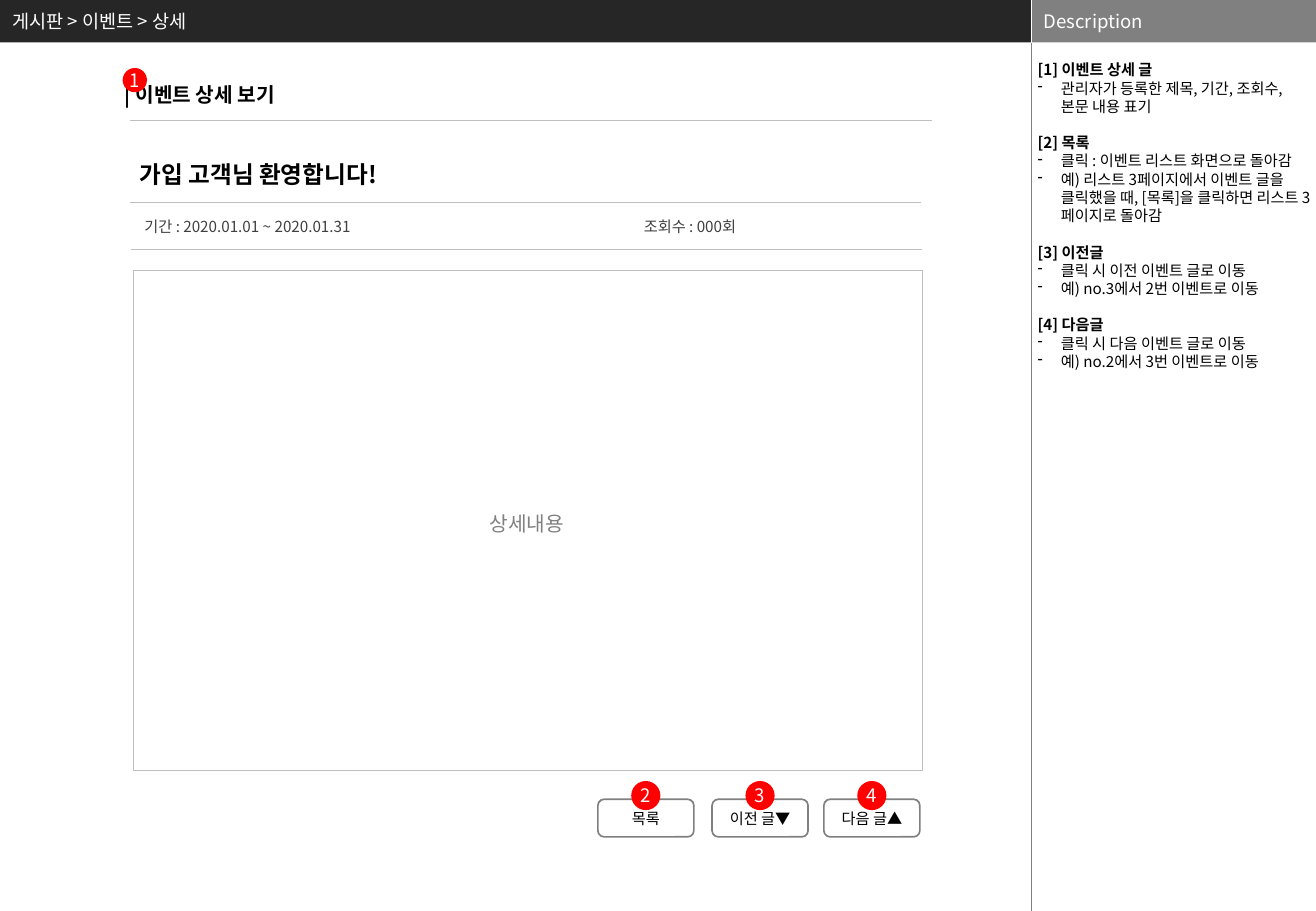
from dataclasses import dataclass

from lxml import etree
from pptx import Presentation
from pptx import util as u
from pptx.dml.color import RGBColor
from pptx.enum import shapes, text
from pptx.oxml.ns import qn


@dataclass(frozen=True)
class Theme:
    font: str = "Noto Sans CJK KR"
    black: str = "000000"
    white: str = "FFFFFF"
    dark: str = "262626"
    body: str = "404040"
    gray: str = "808080"
    rule: str = "BFBFBF"
    marker: str = "FF0000"
    small: float = 9
    normal: float = 11
    medium: float = 12
    large: float = 14
    leading: float = 1.2


THEME = Theme()
CELL = u.Inches(0.1)
COLUMNS, ROWS = 108.3, 75
MAIN_COLUMNS, HEADER_ROWS = 84.9, 3.5
MIDDLE = text.MSO_ANCHOR.MIDDLE
CENTER = text.PP_ALIGN.CENTER

DESCRIPTION = [
    ("[1] 이벤트 상세 글", ["관리자가 등록한 제목, 기간, 조회수, 본문 내용 표기"]),
    ("[2] 목록", [
        "클릭 : 이벤트 리스트 화면으로 돌아감",
        "예) 리스트 3페이지에서 이벤트 글을 클릭했을 때, [목록]을 클릭하면 리스트 3페이지로 돌아감",
    ]),
    ("[3] 이전글", ["클릭 시 이전 이벤트 글로 이동", "예) no.3에서 2번 이벤트로 이동"]),
    ("[4] 다음글", ["클릭 시 다음 이벤트 글로 이동", "예) no.2에서 3번 이벤트로 이동"]),
]
BUTTONS = [(49.2, "목록"), (58.6, "이전 글▼"), (67.8, "다음 글▲")]
RULES = [(10.7, 9.9, 66), (10.7, 16.7, 65.1), (10.8, 20.5, 65.1)]


def grid(*cells):
    return [round(cell * CELL) for cell in cells]


def rgb(value):
    return RGBColor.from_string(value)


def write(para, words, size, color, bold=False, align=text.PP_ALIGN.LEFT):
    para.text = words
    para.alignment = align
    para.line_spacing = u.Pt(size * THEME.leading)
    para.space_before = u.Pt(0)
    font = para.font
    font.name, font.size, font.bold = THEME.font, u.Pt(size), bold
    font.color.rgb = rgb(color)
    run_style = para._p.pPr.find(qn("a:defRPr"))
    etree.SubElement(run_style, qn("a:ea"), typeface=THEME.font)


def set_frame(box, anchor=text.MSO_ANCHOR.TOP, wrap=True, sides=0.1, ends=0.05):
    frame = box.text_frame
    frame.auto_size = text.MSO_AUTO_SIZE.NONE
    frame.word_wrap = wrap
    frame.vertical_anchor = anchor
    frame.margin_left = frame.margin_right = u.Inches(sides)
    frame.margin_top = frame.margin_bottom = u.Inches(ends)
    return frame.paragraphs[0]


def add_box(page, kind, cells, fill, line=None):
    box = page.shapes.add_shape(kind, *grid(*cells))
    box.shadow.inherit = False
    box.fill.solid()
    box.fill.fore_color.rgb = rgb(fill)
    if line:
        box.line.color.rgb = rgb(line)
        box.line.width = u.Pt(1)
    else:
        box.line.fill.background()
    return box


def add_text(page, cells, words, size, color, bold=False, wrap=True):
    box = page.shapes.add_textbox(*grid(*cells))
    write(set_frame(box, wrap=wrap), words, size, color, bold)


def add_line(page, start, end, color, width):
    line = page.shapes.add_connector(
        shapes.MSO_CONNECTOR.STRAIGHT, *grid(*start, *end))
    line.line.color.rgb = rgb(color)
    line.line.width = u.Pt(width)
    etree.SubElement(line._element.spPr, qn("a:effectLst"))


def add_marker(page, number, center, middle, size):
    cells = center - size / 2, middle - size / 2, size, size
    marker = add_box(page, shapes.MSO_SHAPE.OVAL, cells, THEME.marker)
    para = set_frame(marker, MIDDLE, wrap=False, sides=0, ends=0)
    write(para, str(number), THEME.normal, THEME.white, align=CENTER)


def add_button(page, number, left, label):
    width = 7.9
    button = add_box(page, shapes.MSO_SHAPE.ROUNDED_RECTANGLE,
                     (left, 65.8, width, 3.1), THEME.white, THEME.gray)
    para = set_frame(button, MIDDLE, wrap=False)
    write(para, label, THEME.small, THEME.black, align=CENTER)
    add_marker(page, number, left + width / 2, 65.5, 2.4)


def add_header(page):
    title = page.shapes.title
    title.left, title.top, title.width, title.height = grid(
        0, 0, MAIN_COLUMNS, HEADER_ROWS)
    title.fill.solid()
    title.fill.fore_color.rgb = rgb(THEME.dark)
    write(set_frame(title, MIDDLE), "게시판 > 이벤트 > 상세", THEME.normal, THEME.white)

    heading = add_box(page, shapes.MSO_SHAPE.RECTANGLE,
                      (MAIN_COLUMNS, 0, COLUMNS - MAIN_COLUMNS, HEADER_ROWS), THEME.gray)
    write(set_frame(heading, MIDDLE), "Description", THEME.normal, THEME.white)
    edge = MAIN_COLUMNS, HEADER_ROWS
    add_line(page, (MAIN_COLUMNS, 0), edge, THEME.white, 0.25)
    add_line(page, edge, (MAIN_COLUMNS, ROWS), THEME.gray, 0.25)


def add_description(page):
    box = page.shapes.add_textbox(*grid(85, 5, COLUMNS - 85, ROWS - 5))
    para = set_frame(box, sides=0.04, ends=0)
    frame = box.text_frame
    for index, (heading, notes) in enumerate(DESCRIPTION):
        if index:
            para = frame.add_paragraph()
        write(para, heading, THEME.small, THEME.black, bold=True)
        if index:
            para.space_before = u.Pt(THEME.small * THEME.leading)
        for note in notes:
            para = frame.add_paragraph()
            style = para._p.get_or_add_pPr()
            indent = u.Inches(0.19)
            style.set("marL", str(indent))
            style.set("indent", str(-indent))
            etree.SubElement(style, qn("a:buChar"), char="-")
            write(para, note, THEME.small, THEME.black)


def add_period(page):
    box = page.shapes.add_textbox(*grid(10.9, 17.4, 64.9, 2.5))
    para = set_frame(box)
    tabs = etree.SubElement(para._p.get_or_add_pPr(), qn("a:tabLst"))
    etree.SubElement(tabs, qn("a:tab"), pos=str(u.Inches(4.11)), algn="l")
    write(para, "기간 : 2020.01.01 ~ 2020.01.31\t조회수 : 000회", THEME.small, THEME.body)


def add_content_area(page):
    table = page.shapes.add_table(1, 1, *grid(11, 22.3, 64.9, 41.1)).table
    table.first_row = table.horz_banding = False
    cell = table.cell(0, 0)
    style = cell._tc.get_or_add_tcPr()
    for side in ("lnL", "lnR", "lnT", "lnB"):
        border = etree.SubElement(style, qn(f"a:{side}"), w=str(u.Pt(0.5)))
        fill = etree.SubElement(border, qn("a:solidFill"))
        etree.SubElement(fill, qn("a:srgbClr"), val=THEME.rule)
    cell.fill.solid()
    cell.fill.fore_color.rgb = rgb(THEME.white)

    label = add_box(page, shapes.MSO_SHAPE.RECTANGLE, (37.1, 42.1, 12.5, 2), THEME.white)
    para = set_frame(label, sides=0, ends=0)
    write(para, "상세내용", THEME.medium, THEME.gray, align=CENTER)


def main():
    deck = Presentation()
    deck.slide_width, deck.slide_height = grid(COLUMNS, ROWS)
    page = deck.slides.add_slide(deck.slide_layouts.get_by_name("Title Only"))
    add_header(page)
    add_description(page)
    add_text(page, (9.3, 6.3, 17.1, 3), "| 이벤트 상세 보기",
             THEME.medium, THEME.black, bold=True)
    add_marker(page, 1, 11.1, 6.6, 2)
    add_text(page, (10.5, 12.7, 23.5, 3.4), "가입 고객님 환영합니다!",
             THEME.large, THEME.black, bold=True, wrap=False)
    add_period(page)
    for left, top, width in RULES:
        add_line(page, (left, top), (left + width, top), THEME.rule, 0.5)
    add_content_area(page)
    for number, (left, label) in enumerate(BUTTONS, start=2):
        add_button(page, number, left, label)
    deck.save("out.pptx")


if __name__ == "__main__":
    main()
